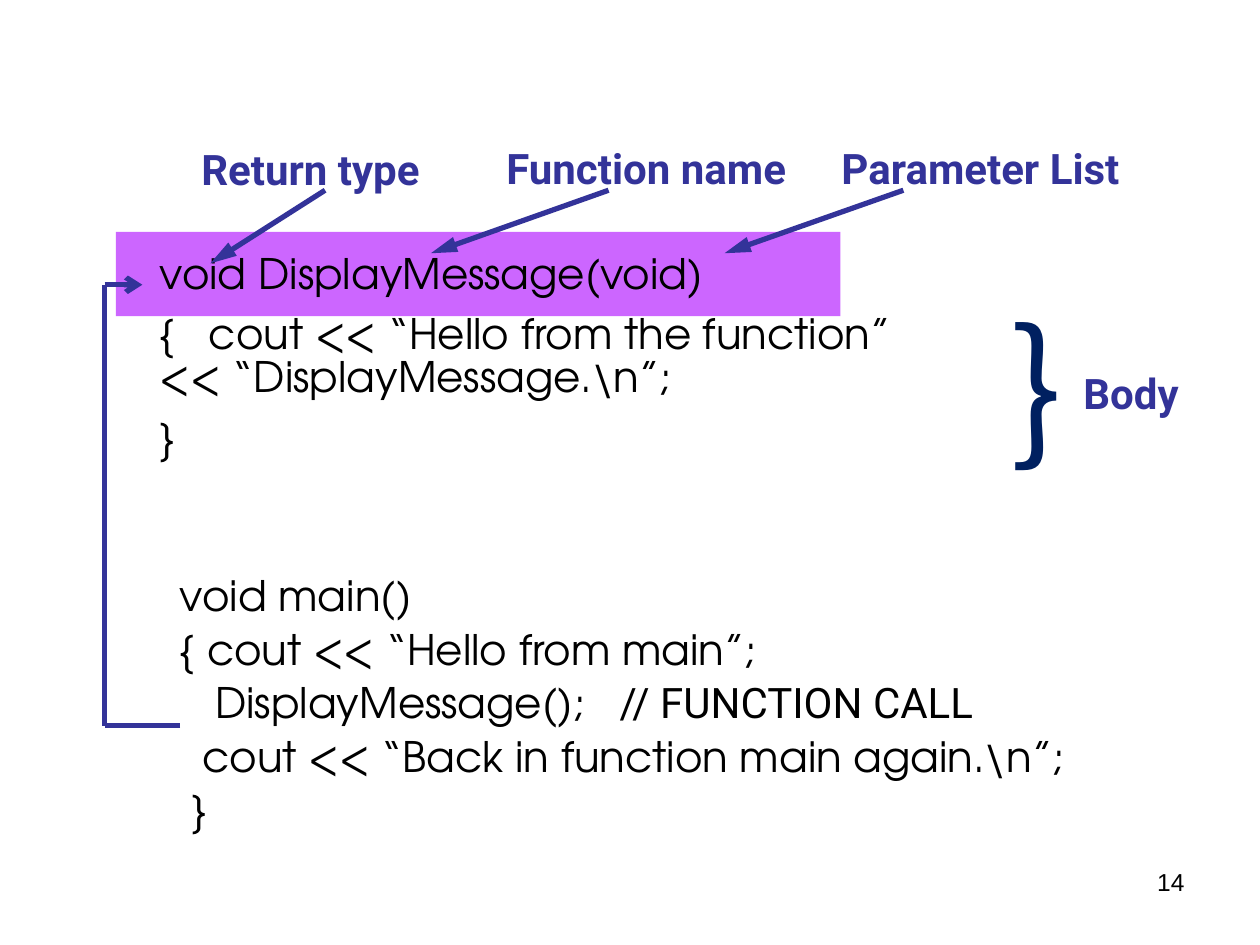
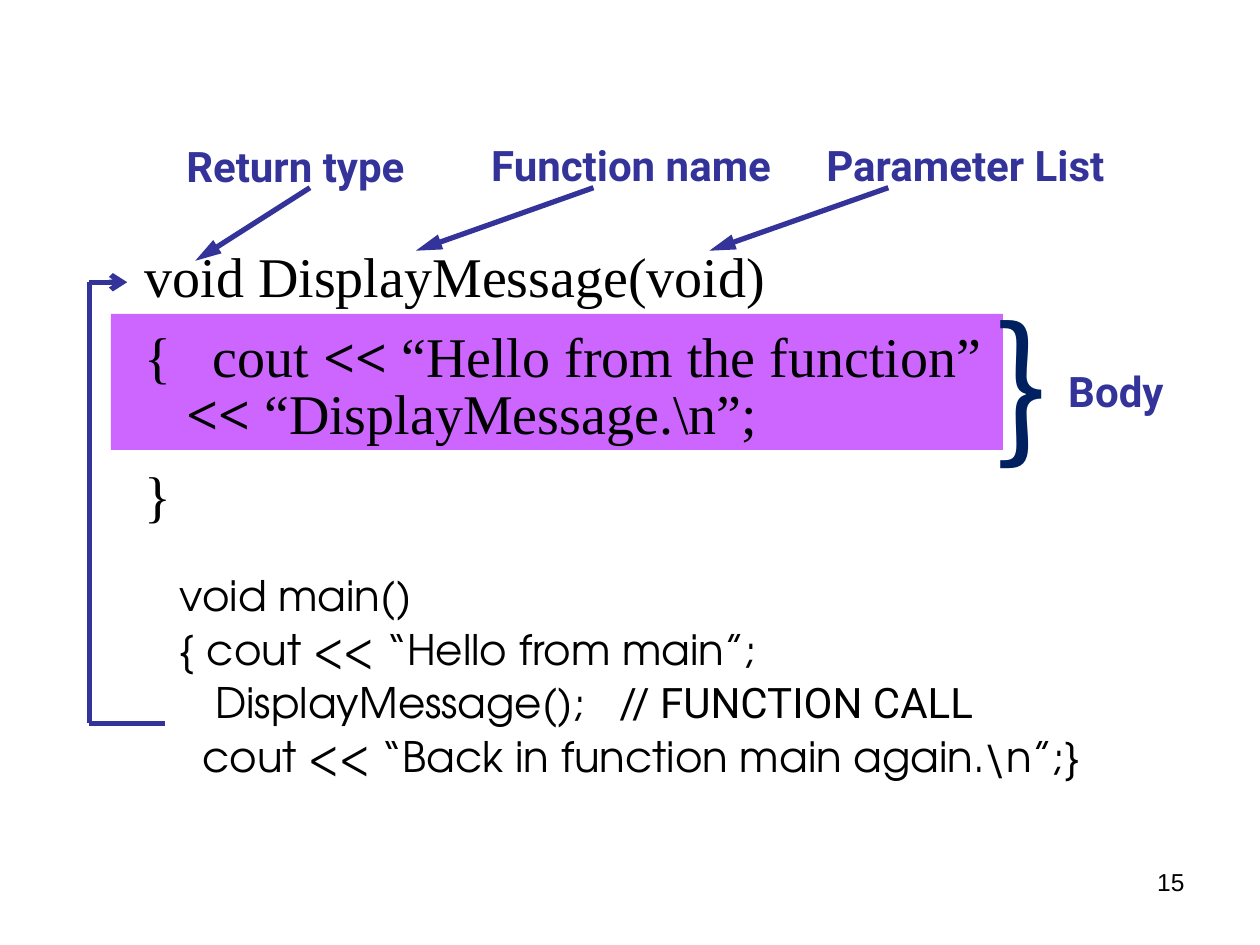
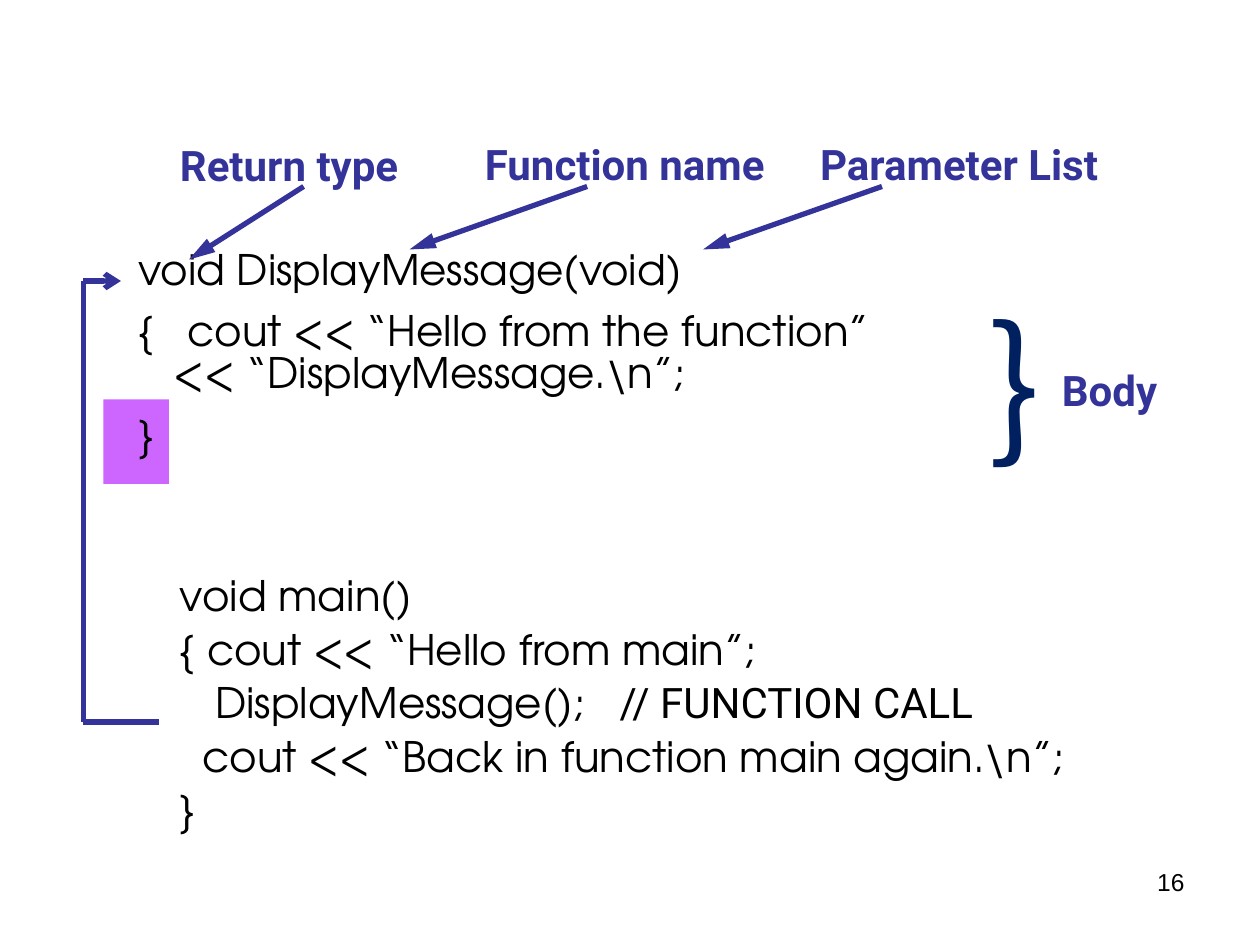
from dataclasses import dataclass

from lxml import etree
from pptx import Presentation
from pptx.dml.color import RGBColor
from pptx.enum.shapes import MSO_CONNECTOR, MSO_SHAPE
from pptx.enum.text import MSO_AUTO_SIZE, PP_ALIGN
from pptx.oxml.ns import qn
from pptx.util import Inches, Pt

STRAIGHT = MSO_CONNECTOR.STRAIGHT
RECTANGLE = MSO_SHAPE.RECTANGLE
GROW = MSO_AUTO_SIZE.SHAPE_TO_FIT_TEXT
FIXED = MSO_AUTO_SIZE.NONE
RIGHT = PP_ALIGN.RIGHT


@dataclass(frozen=True)
class TextStyle:
    font: str
    size: float
    color: str = "000000"
    bold: bool = False


class Theme:
    accent = "333399"
    highlight = "CC66FF"
    line_width = 3
    code = TextStyle("TeX Gyre Adventor", 24)
    large_code = TextStyle("Times New Roman", 32)
    operator = TextStyle("Times New Roman", 32, bold=True)
    comment = TextStyle("Roboto", 24)
    label = TextStyle("Roboto", 24, accent, True)
    brace = TextStyle("Noto Sans CJK JP", 88, "002060")
    page_number = TextStyle("Arial", 14)


@dataclass(frozen=True)
class Box:
    left: float
    top: float
    width: float = 0
    height: float = 0

    def inside(self, left, top, width=0, height=0):
        return Box(self.left + left, self.top + top, width, height)

    def lengths(self):
        return [Inches(v) for v in (self.left, self.top, self.width, self.height)]


@dataclass(frozen=True)
class Line:
    """One paragraph; a tab in its text jumps to tab_to, measured like indent."""
    spans: list
    indent: float = 0
    tab_to: float = 0
    spacing: float = 1
    before: float = 0
    align: PP_ALIGN = None


def set_values(target, values):
    for name, value in values.items():
        setattr(target, name, value)


def add_text(page, box, lines, auto_size=GROW):
    frame = page.shapes.add_textbox(*box.lengths()).text_frame
    set_values(frame, {"word_wrap": True, "auto_size": auto_size})
    for index, line in enumerate(lines):
        para = frame.add_paragraph() if index else frame.paragraphs[0]
        set_values(para, {"line_spacing": line.spacing,
                          "space_before": Pt(line.before),
                          "alignment": line.align})
        margin = line.tab_to or line.indent
        properties = para._p.get_or_add_pPr()
        properties.set("marL", str(Inches(margin)))
        properties.set("indent", str(Inches(line.indent - margin)))
        for text, style in line.spans:
            span = para.add_run()
            span.text = text
            set_values(span.font, {"name": style.font, "size": Pt(style.size),
                                   "bold": style.bold})
            span.font.color.rgb = RGBColor.from_string(style.color)


def add_line(shapes, start, end, head=None):
    connector = shapes.add_connector(
        STRAIGHT, *[Inches(v) for v in (start.left, start.top, end.left, end.top)])
    connector.line.width = Pt(Theme.line_width)
    connector.line.color.rgb = RGBColor.from_string(Theme.accent)
    if head:
        etree.SubElement(connector.line._get_or_add_ln(), qn("a:tailEnd"), head)
    etree.SubElement(connector._element.spPr, qn("a:effectLst"))


def add_highlight(page, box):
    shape = page.shapes.add_shape(RECTANGLE, *box.lengths())
    shape.shadow.inherit = False
    shape.fill.solid()
    shape.fill.fore_color.rgb = RGBColor.from_string(Theme.highlight)
    shape.line.fill.background()


def operator_spans(text, style, operator_style):
    """Split the text so that each << takes its own style."""
    spans = []
    for index, part in enumerate(text.split("<<")):
        if index:
            spans.append(("<<", operator_style))
        if part:
            spans.append((part, style))
    return spans


def add_function_code(page, box, large, wrap_indent):
    style = Theme.large_code if large else Theme.code
    before = 14 if large else 10.5

    def spans(text):
        return operator_spans(text, style, Theme.operator) if large else [(text, style)]

    add_text(page, box, [
        Line(spans("void DisplayMessage(void)"), spacing=0.75, before=before),
        Line(spans("{\tcout << “Hello from the function”"),
             tab_to=0.54 if large else 0.39, spacing=0.85, before=before),
        Line(spans("<< “DisplayMessage.\\n”;"), indent=wrap_indent, spacing=0.85),
        Line(spans("}"), spacing=0.85, before=before),
    ])


def add_main_code(page, box, closing_indent):
    """With no closing_indent, the closing brace ends the last statement."""
    joined = closing_indent is None
    last = "cout << “Back in function main again.\\n”;" + ("}" if joined else "")
    rows = [
        ([("void main()", Theme.code)], 0, 0),
        ([("{ cout << “Hello from main”;", Theme.code)], 0, 0),
        ([("DisplayMessage();\t", Theme.code),
          ("// FUNCTION CALL", Theme.comment)], 0.28, 3.49),
        ([(last, Theme.code)], 0.18, 0),
    ]
    if not joined:
        rows.append(([("}", Theme.code)], closing_indent, 0))
    add_text(page, box, [Line(*row, spacing=0.7, before=10.5) for row in rows])


def add_call_loop(page, box):
    """Bracket that leads from the call back up to the function."""
    corners = [box.inside(box.width, box.height), box.inside(0, box.height),
               box, box.inside(0.3, 0)]
    group = page.shapes.add_group_shape()
    for start, end in zip(corners, corners[1:]):
        head = {"type": "arrow"} if end is corners[-1] else None
        add_line(group.shapes, start, end, head)


def add_labels(page, box):
    labels = [
        ("Return type", (0.67, 0.01, 2.58, 0.5), 0),
        ("Function name", (3.09, 0, 2.58, 0.9), 0),
        ("Parameter List", (5.75, 0, 2.75, 0.5), 0),
        ("Body", (7.42, 1.79, 1.34, 0.5), 0.25),
    ]
    for text, place, indent in labels:
        add_text(page, box.inside(*place),
                 [Line([(text, Theme.label)], indent=indent, before=15)])
    arrows = [((1.75, 0.43), (0.84, 1.01)),
              ((4, 0.43), (2.59, 0.93)),
              ((6.34, 0.43), (4.92, 0.93))]
    for start, end in arrows:
        add_line(page.shapes, box.inside(*start), box.inside(*end),
                 {"type": "triangle", "len": "lg"})
    add_text(page, box.inside(7.09, 1.18, 0.92, 1.57), [Line([("}", Theme.brace)])])


def add_page_number(page, number):
    add_text(page, Box(7.17, 6.83, 2.33, 0.52),
             [Line([(str(number), Theme.page_number)], align=RIGHT)], FIXED)


def add_function_slide(deck, number, box, highlight, code_size, main_size,
                       large=False, wrap_indent=0.0, closing_indent=None):
    page = deck.slides.add_slide(deck.slide_layouts[6])
    add_highlight(page, highlight)
    add_function_code(page, box.inside(0.34, 0.93, *code_size), large, wrap_indent)
    add_main_code(page, Box(1.33, 4.58, *main_size), closing_indent)
    add_call_loop(page, box.inside(0, 1.18, 0.6, 3.5))
    add_page_number(page, number)
    add_labels(page, box)


def main():
    deck = Presentation()
    set_values(deck, {"slide_width": Inches(10), "slide_height": Inches(7.5)})
    add_function_slide(deck, 14, Box(0.83, 1.08), Box(0.92, 1.84, 5.75, 0.67),
                       (8.58, 1.71), (8.42, 2.09), closing_indent=0.09)
    add_function_slide(deck, 15, Box(0.71, 1.06), Box(0.88, 2.49, 7.08, 1.08),
                       (8.21, 2.25), (8.67, 1.66), large=True, wrap_indent=0.33)
    add_function_slide(deck, 16, Box(0.66, 1.05), Box(0.82, 3.17, 0.52, 0.67),
                       (7.97, 1.71), (8.42, 2.09), wrap_indent=0.28, closing_indent=0)
    deck.save("out.pptx")


if __name__ == "__main__":
    main()
